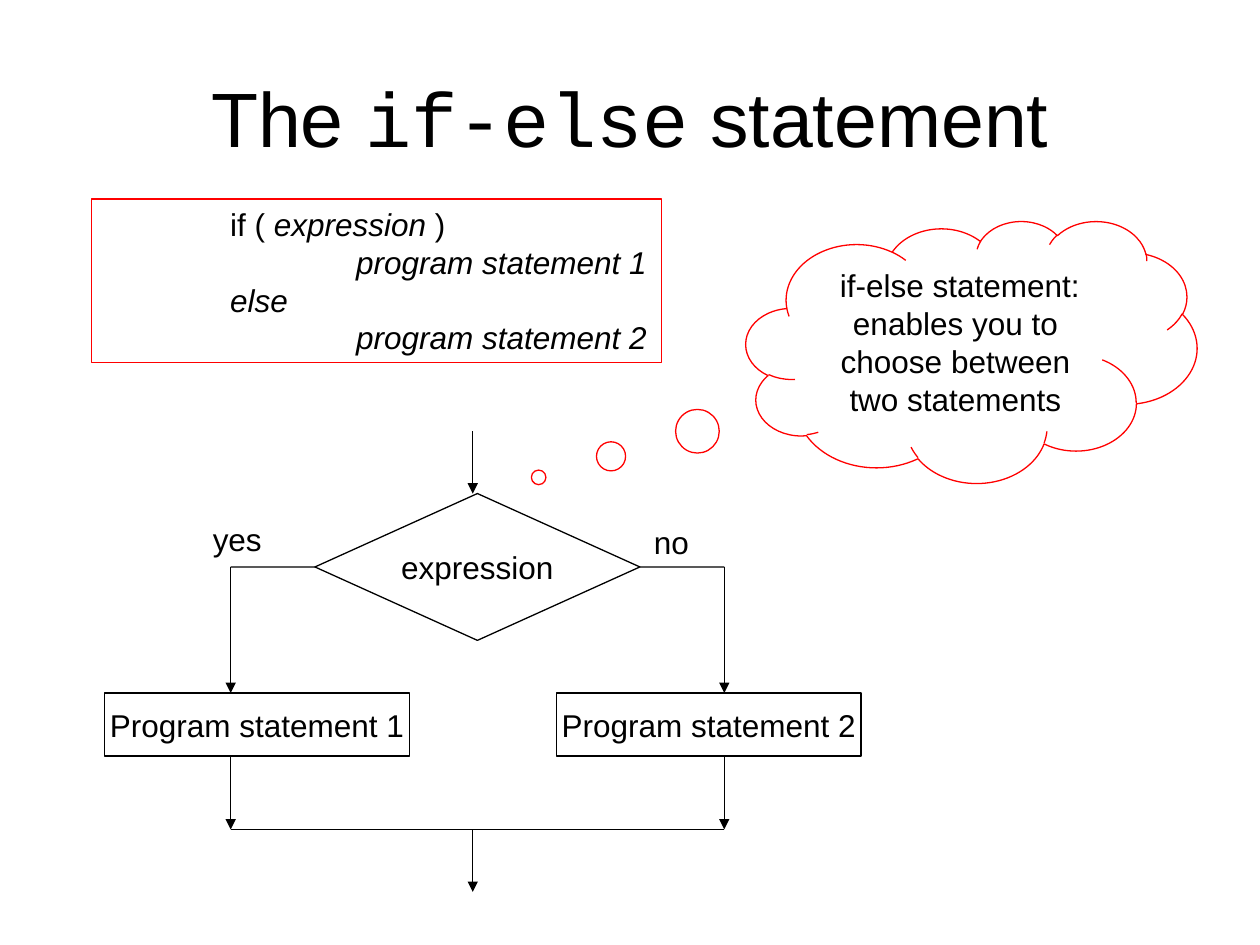
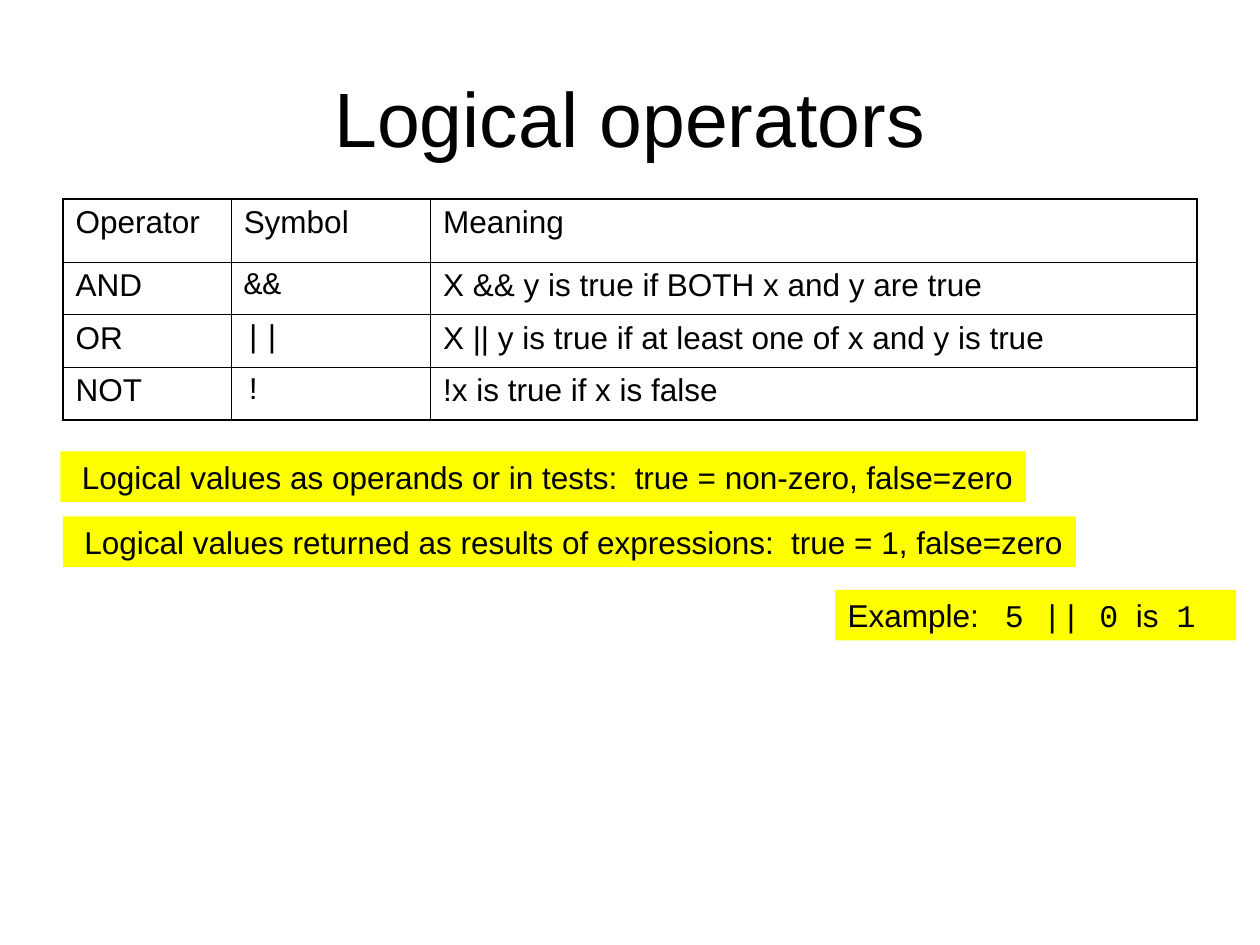
"""Build two slides on the if-else statement and logical operators."""
from pptx import Presentation
from pptx.dml.color import RGBColor
from pptx.enum.shapes import MSO_CONNECTOR, MSO_SHAPE
from pptx.enum.text import MSO_ANCHOR, PP_ALIGN
from pptx.oxml.ns import qn
from pptx.util import Cm, Pt
from lxml.etree import SubElement

BLACK = RGBColor(0, 0, 0)
RED = RGBColor(255, 0, 0)
YELLOW = RGBColor(255, 255, 0)
BODY = {"name": "Arial", "size": Pt(18)}
TITLE = {"name": "Arial", "size": Pt(44)}
CODE = {"name": "Courier New"}
SLANT = {"italic": True}
MID = {"vertical_anchor": MSO_ANCHOR.MIDDLE}
CENTER = {"alignment": PP_ALIGN.CENTER}
THIN, THICK = 0.45, 1.08


def put(item, *forms):
    """Set attributes of an item from dicts of format values."""
    for form in forms:
        for key, value in form.items():
            setattr(item, key, value)


def write(para, parts, base=BODY, form=None):
    """Fill a paragraph with (text, format) runs."""
    put(para, form or {})
    for text, extra in parts:
        run = para.add_run()
        run.text = text
        put(run.font, base, extra)
        run.font.color.rgb = BLACK


def label(slide, box, text, base=BODY, form=None, frame=None):
    """Add a text box; text is a string or a list of runs."""
    item = slide.shapes.add_textbox(*map(Cm, box))
    put(item.text_frame, {"word_wrap": True}, frame or {})
    parts = [(text, {})] if isinstance(text, str) else text
    write(item.text_frame.paragraphs[0], parts, base, form)
    return item


def shape(slide, kind, box, text="", line=BLACK, frame=None):
    """Add an outlined shape with centred text."""
    item = slide.shapes.add_shape(kind, *map(Cm, box))
    item.shadow.inherit = False
    item.fill.background()
    item.line.color.rgb = line
    item.line.width = Pt(0.75)
    put(item.text_frame, {"word_wrap": True}, frame or {})
    if text:
        write(item.text_frame.paragraphs[0], [(text, {})], form=CENTER)
    return item


def link(slide, start, end, arrow=False):
    """Draw a straight line, with an arrowhead if asked."""
    item = slide.shapes.add_connector(
        MSO_CONNECTOR.STRAIGHT, *map(Cm, (*start, *end)))
    item.line.color.rgb = BLACK
    item.line.width = Pt(0.75)
    if arrow:
        SubElement(item.line._get_or_add_ln(), qn("a:tailEnd"), type="triangle")
    SubElement(item._element.spPr, qn("a:effectLst"))
    return item


def edge(cell, sides):
    """Draw the four borders of a cell."""
    props = cell._tc.get_or_add_tcPr()
    for side, width in zip("LRTB", sides):
        line = SubElement(props, qn(f"a:ln{side}"), w=str(Pt(width)))
        fill = SubElement(line, qn("a:solidFill"))
        SubElement(fill, qn("a:srgbClr"), val=str(BLACK))


def grid(slide, spot, cols, rows, data):
    """Add a plain table with a thick frame and code in column two."""
    item = slide.shapes.add_table(
        len(rows), len(cols), *map(Cm, (*spot, sum(cols), sum(rows))))
    table = item.table
    put(table, {"first_row": False, "horz_banding": False})
    for col, width in zip(table.columns, cols):
        col.width = Cm(width)
    for row, height in zip(table.rows, rows):
        row.height = Cm(height)
    for r, texts in enumerate(data):
        for c, text in enumerate(texts):
            cell = table.cell(r, c)
            outer = (c == 0, c == len(cols) - 1, r == 0, r == len(rows) - 1)
            edge(cell, [THICK if out else THIN for out in outer])
            cell.fill.background()
            font = CODE if r and c == 1 else {}
            write(cell.text_frame.paragraphs[0], [(text, font)],
                  form={"space_before": Pt(4.5)})


def bar(slide, box, text, left=0.43):
    """Add a yellow bar of text."""
    frame = {"margin_left": Cm(left), "margin_right": 0}
    item = label(slide, box, text, frame=frame)
    item.fill.solid()
    item.fill.fore_color.rgb = YELLOW
    return item


def tabs(item, stops):
    """Set the tab stops of the first paragraph."""
    props = item.text_frame.paragraphs[0]._p.get_or_add_pPr()
    group = SubElement(props, qn("a:tabLst"))
    for stop in stops:
        SubElement(group, qn("a:tab"), pos=str(Cm(stop)), algn="l")


def page(deck, title):
    """Add a blank slide with a title."""
    slide = deck.slides.add_slide(deck.slide_layouts[6])
    label(slide, (1.27, 0.76, 22.86, 3.18), title, TITLE, CENTER, MID)
    return slide


def code(slide):
    """Add the framed syntax, one indented paragraph a line."""
    item = shape(slide, MSO_SHAPE.RECTANGLE, (1.85, 4.01, 11.48, 3.3),
                 line=RED, frame={"vertical_anchor": MSO_ANCHOR.TOP,
                                  "margin_right": 0})
    lines = [
        (1, [("if ( ", {}), ("expression ", SLANT), (")", {})]),
        (2, [("program statement 1", SLANT)]),
        (1, [("else", SLANT)]),
        (2, [("program statement 2", SLANT)]),
    ]
    frame = item.text_frame
    for i, (level, parts) in enumerate(lines):
        para = frame.add_paragraph() if i else frame.paragraphs[0]
        write(para, parts, form={"alignment": PP_ALIGN.LEFT})
        para._p.get_or_add_pPr().set("marL", str(Cm(2.54 * level)))


def flow(slide):
    """Draw the flow chart of the two branches."""
    tight = {**MID, "word_wrap": False}
    test = shape(slide, MSO_SHAPE.FLOWCHART_DECISION,
                 (6.35, 9.95, 6.55, 2.96), "expression", frame=tight)
    mid, top, low, foot, join = 9.53, 11.43, 13.97, 15.24, 16.72
    sides = [(4.65, 2.11, 6.35, 1), (14.6, 11.22, 12.9, 3)]
    for i, (x, left, tip, site) in enumerate(sides, 1):
        shape(slide, MSO_SHAPE.FLOWCHART_PROCESS, (left, low, 6.14, 1.27),
              f"Program statement {i}", frame=tight)
        link(slide, (tip, top), (x, top)).begin_connect(test, site)
        link(slide, (x, top), (x, low), True)
        link(slide, (x, foot), (x, join), True)
    link(slide, (mid, 8.69), (mid, 9.95), True)
    link(slide, (sides[0][0], join), (sides[1][0], join))
    link(slide, (mid, join), (mid, 17.98), True)
    label(slide, (4.04, 10.36, 1.6, 1.02), "yes")
    label(slide, (12.93, 10.41, 1.4, 1.02), "no")


def main():
    """Build both slides and save the deck."""
    deck = Presentation()
    put(deck, {"slide_width": Cm(25.4), "slide_height": Cm(19.05)})

    slide = page(deck, [("The ", {}), ("if-else", CODE), (" statement", {})])
    cloud = shape(slide, MSO_SHAPE.CLOUD_CALLOUT, (15.04, 4.45, 9.09, 5.28),
                  " if-else statement: enables you to choose between "
                  "two statements", RED,
                  {"vertical_anchor": MSO_ANCHOR.TOP})
    cloud.adjustments[0], cloud.adjustments[1] = -0.96, 0.48
    flow(slide)
    code(slide)

    slide = page(deck, "Logical operators")
    grid(slide, (1.27, 4.01), (3.39, 4.02, 15.45), (1.27, 1.06, 1.06, 1.06), [
        ("Operator", "Symbol", "Meaning"),
        ("AND", "&&", "X && y is true if BOTH x and y are true"),
        ("OR", "||", "X || y is true if at least one of x and y is true"),
        ("NOT", "!", "!x is true if x is false"),
    ])
    bar(slide, (1.22, 9.1, 19.46, 1.02),
        "Logical values as operands or in tests:  true = non-zero, false=zero")
    bar(slide, (1.27, 10.41, 20.42, 1.02),
        "Logical values returned as results of expressions:  "
        "true = 1, false=zero")
    case = bar(slide, (16.84, 11.89, 8.08, 1.02), [
        ("Example:\t", {}), ("5 || 0", CODE), ("\tis\t", {}), ("1", CODE),
    ], 0.25)
    tabs(case, (3.17, 5.81, 6.63))
    deck.save("out.pptx")


if __name__ == "__main__":
    main()
